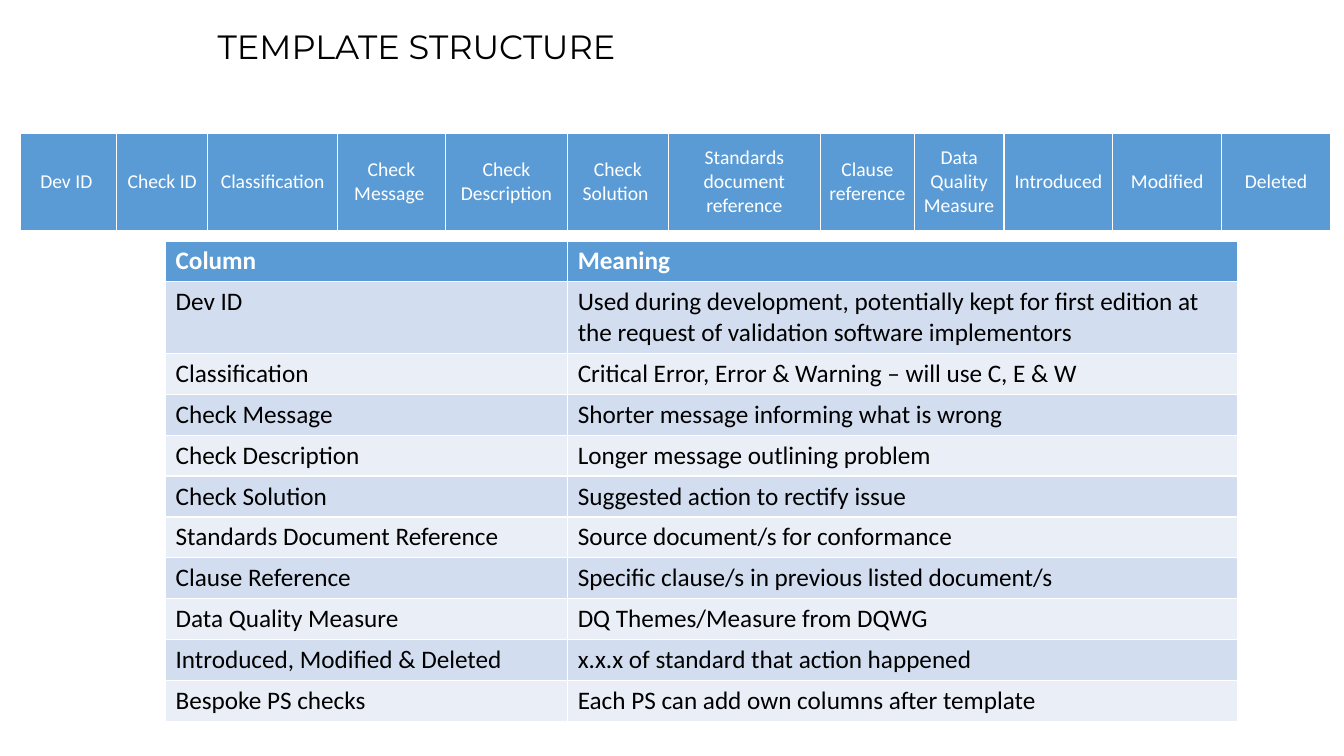
from dataclasses import dataclass

from pptx import Presentation
from pptx.dml.color import RGBColor
from pptx.enum.text import MSO_ANCHOR, MSO_AUTO_SIZE, PP_ALIGN
from pptx.util import Emu, Inches, Pt

LEFT, CENTER = PP_ALIGN.LEFT, PP_ALIGN.CENTER
TOP, MIDDLE = MSO_ANCHOR.TOP, MSO_ANCHOR.MIDDLE
NO_AUTOFIT = MSO_AUTO_SIZE.NONE

SLIDE_WIDTH, SLIDE_HEIGHT = Inches(13.33), Inches(7.5)
BLUE, WHITE, BLACK = "5B9BD5", "FFFFFF", "000000"
BANDS = ("D2DEEF", "EAEFF7")


@dataclass(frozen=True)
class TextStyle:
    size: int
    color: str
    font: str = "Calibri"
    bold: bool = False
    align: PP_ALIGN = LEFT


@dataclass(frozen=True)
class TableSpec:
    """Positions and sizes are percentages of the slide's size."""
    left: float
    top: float
    columns: tuple[float, ...]
    row_height: float
    rows: tuple[tuple[str, ...], ...]
    header: TextStyle
    body: TextStyle
    anchor: MSO_ANCHOR = TOP
    padded: bool = True


TITLE_STYLE = TextStyle(24, BLACK, font="Montserrat")
STRIP_STYLE = TextStyle(14, WHITE, align=CENTER)
HEADER_STYLE = TextStyle(18, WHITE, bold=True)
BODY_STYLE = TextStyle(18, BLACK)

TEMPLATE_STRIP = TableSpec(
    left=1.5, top=17.6, row_height=12.93,
    columns=(7.2, 6.75, 9.68, 8.02, 9.08, 7.5, 11.33, 6.98, 6.67, 8.1, 8.1, 8.1),
    rows=((
        "Dev ID ", "Check ID", "Classification", "Check Message ",
        "Check Description", "Check Solution ", "Standards document reference",
        "Clause reference", "Data Quality Measure", "Introduced", "Modified", "Deleted",
    ),),
    header=STRIP_STYLE, body=STRIP_STYLE, anchor=MIDDLE, padded=False,
)

MEANINGS = TableSpec(
    left=12.32, top=31.87, row_height=5.4, columns=(29.92, 49.88),
    rows=(
        ("Column", "Meaning"),
        ("Dev ID", "Used during development, potentially kept for first edition at "
                   "the request of validation software implementors"),
        ("Classification", "Critical Error, Error & Warning – will use C, E & W"),
        ("Check Message", "Shorter message informing what is wrong"),
        ("Check Description", "Longer message outlining problem"),
        ("Check Solution", "Suggested action to rectify issue"),
        ("Standards Document Reference", "Source document/s for conformance"),
        ("Clause Reference", "Specific clause/s in previous listed document/s"),
        ("Data Quality Measure", "DQ Themes/Measure from DQWG"),
        ("Introduced, Modified & Deleted", "x.x.x of standard that action happened"),
        ("Bespoke PS checks", "Each PS can add own columns after template"),
    ),
    header=HEADER_STYLE, body=BODY_STYLE,
)


def across(percent: float) -> Emu:
    return Emu(round(SLIDE_WIDTH * percent / 100))


def down(percent: float) -> Emu:
    return Emu(round(SLIDE_HEIGHT * percent / 100))


def color(code: str) -> RGBColor:
    return RGBColor.from_string(code)


def write(frame, text: str, style: TextStyle) -> None:
    frame.text = text
    para = frame.paragraphs[0]
    para.alignment = style.align
    para.font.name = style.font
    para.font.size = Pt(style.size)
    para.font.bold = style.bold
    para.font.color.rgb = color(style.color)


def draw_title(page, text: str) -> None:
    title = page.shapes.title
    title.left, title.top = across(15.45), down(0)
    title.width, title.height = across(84.55), down(12.93)
    frame = title.text_frame
    frame.auto_size = NO_AUTOFIT
    frame.word_wrap = True
    frame.vertical_anchor = MIDDLE
    write(frame, text, TITLE_STYLE)
    frame.paragraphs[0].line_spacing = 0.9


def draw_table(page, spec: TableSpec) -> None:
    # The default table style supplies the white rules
    table = page.shapes.add_table(
        len(spec.rows), len(spec.columns), across(spec.left), down(spec.top),
        across(sum(spec.columns)), down(spec.row_height * len(spec.rows)),
    ).table
    for column, width in zip(table.columns, spec.columns):
        column.width = across(width)
    for r, texts in enumerate(spec.rows):
        table.rows[r].height = down(spec.row_height)
        fill = BANDS[(r - 1) % 2] if r else BLUE
        for c, text in enumerate(texts):
            cell = table.cell(r, c)
            cell.fill.solid()
            cell.fill.fore_color.rgb = color(fill)
            cell.vertical_anchor = spec.anchor
            if not spec.padded:
                cell.margin_left = cell.margin_right = 0
                cell.margin_top = cell.margin_bottom = 0
            write(cell.text_frame, text, spec.body if r else spec.header)


def main() -> None:
    deck = Presentation()
    deck.slide_width, deck.slide_height = SLIDE_WIDTH, SLIDE_HEIGHT
    page = deck.slides.add_slide(deck.slide_layouts[5])
    draw_title(page, "TEMPLATE STRUCTURE")
    for spec in (TEMPLATE_STRIP, MEANINGS):
        draw_table(page, spec)
    deck.save("out.pptx")


if __name__ == "__main__":
    main()
